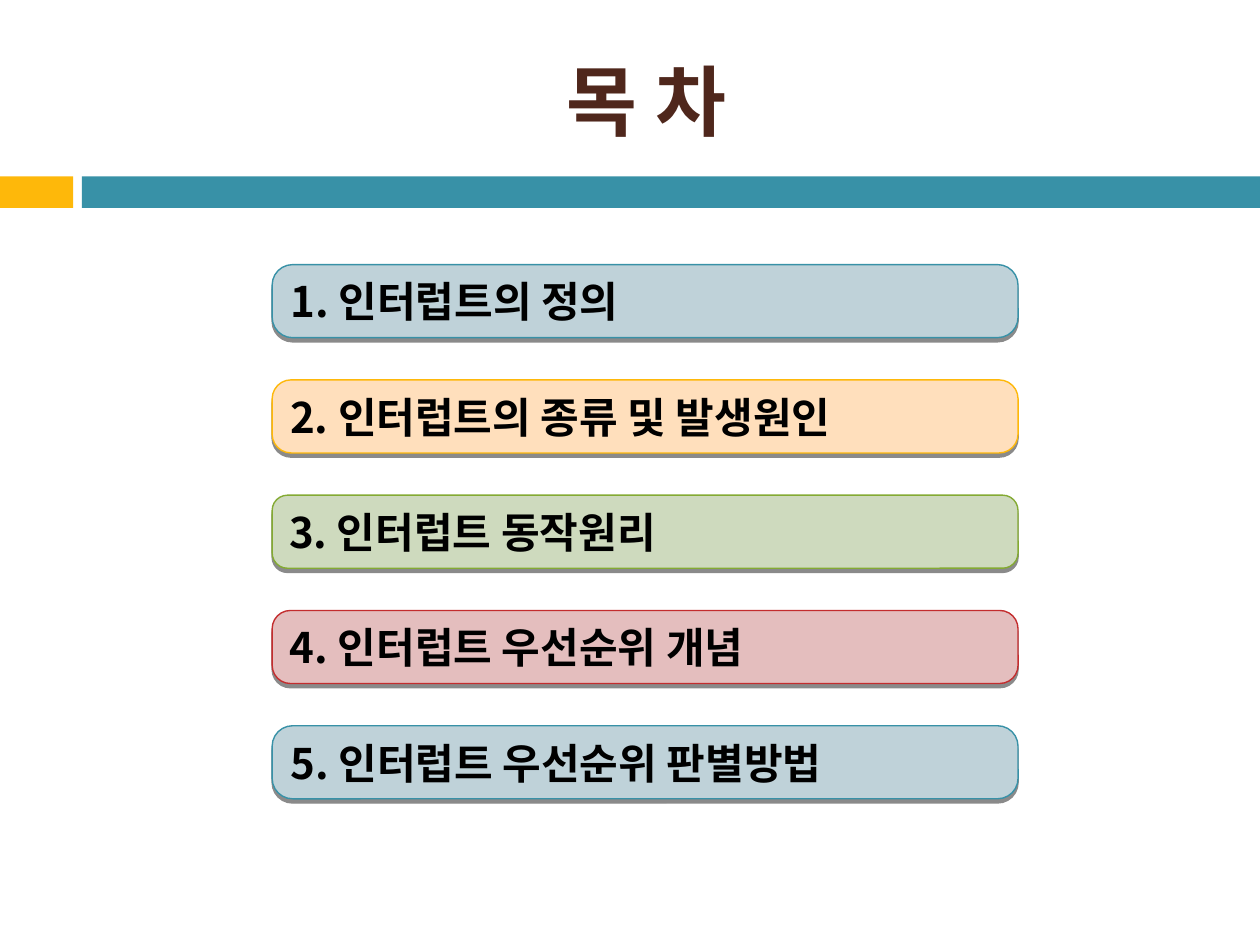
from lxml import etree
from pptx import Presentation
from pptx.dml.color import RGBColor
from pptx.enum.shapes import MSO_SHAPE
from pptx.enum.text import MSO_ANCHOR, PP_ALIGN
from pptx.oxml import parse_xml
from pptx.oxml.ns import nsdecls, qn
from pptx.util import Inches, Pt

RECTANGLE = MSO_SHAPE.RECTANGLE
ROUNDED = MSO_SHAPE.ROUNDED_RECTANGLE
MIDDLE = MSO_ANCHOR.MIDDLE
LEFT, CENTER = PP_ALIGN.LEFT, PP_ALIGN.CENTER

FONT = "Noto Sans CJK KR"
COLORS = {
    "title": "4F271C", "text": "000000", "shadow": "000000",
    "teal": "3891A7", "gold": "FEB80A", "green": "84AA33", "red": "C32D2E",
    "pale_teal": "BFD2D9", "pale_gold": "FFDFBC",
    "pale_green": "CEDABE", "pale_red": "E4BEBE",
}
TOPICS = [
    ("1. 인터럽트의 정의", "teal", 0.28),
    ("2. 인터럽트의 종류 및 발생원인", "gold", 0.26),
    ("3. 인터럽트 동작원리", "green", 0.21),
    ("4. 인터럽트 우선순위 개념", "red", 0.25),
    ("5. 인터럽트 우선순위 판별방법", "teal", 0.28),
]
FIRST_TOP, LAST_TOP = 2.1, 5.76
TOPIC_STEP = (LAST_TOP - FIRST_TOP) / (len(TOPICS) - 1)


class ContentsPage:
    """Styled elements of a table-of-contents slide."""

    def __init__(self, page):
        self.page = page

    def color(self, name):
        return RGBColor.from_string(COLORS[name])

    def set_text(self, shape, text, size, color, align):
        frame = shape.text_frame
        frame.text = text
        frame.word_wrap = True
        frame.vertical_anchor = MIDDLE
        para = frame.paragraphs[0]
        para.alignment = align
        span = para.runs[0]
        span.font.name = FONT
        span.font.size = Pt(size)
        span.font.bold = True
        span.font.color.rgb = self.color(color)
        east_asian = etree.SubElement(span.font._element, qn("a:ea"))
        east_asian.set("typeface", FONT)

    def title(self, text):
        box = self.page.shapes.title
        box.left, box.top = Inches(0.67), Inches(0.25)
        box.width, box.height = Inches(8.92), Inches(1.08)
        self.set_text(box, text, 44, "title", CENTER)

    def shape(self, kind, left, top, width, height, fill):
        shape = self.page.shapes.add_shape(
            kind, Inches(left), Inches(top), Inches(width), Inches(height))
        shape.shadow.inherit = False
        shape.fill.solid()
        shape.fill.fore_color.rgb = self.color(fill)
        shape.line.fill.background()
        return shape

    def band(self, left, width, fill):
        self.shape(RECTANGLE, left, 1.4, width, 0.25, fill)

    def topic(self, top, text, accent, rounding):
        box = self.shape(ROUNDED, 2.16, top, 5.92, 0.58, f"pale_{accent}")
        box.adjustments[0] = rounding
        box.line.color.rgb = self.color(accent)
        box.line.width = Pt(0.79)
        self.drop_shadow(box)
        self.set_text(box, text, 24, "text", LEFT)

    def drop_shadow(self, shape):
        effects = shape._element.spPr.find(qn("a:effectLst"))
        effects.append(parse_xml(
            f'<a:outerShdw {nsdecls("a")} blurRad="0" dist="{Pt(2.4)}" '
            f'dir="5400000" rotWithShape="0"><a:srgbClr val="{COLORS["shadow"]}">'
            '<a:alpha val="45000"/></a:srgbClr></a:outerShdw>'))


def main():
    deck = Presentation()
    deck.slide_width, deck.slide_height = Inches(10), Inches(7.5)
    contents = ContentsPage(deck.slides.add_slide(deck.slide_layouts[5]))
    contents.band(0, 0.58, "gold")
    contents.band(0.65, 9.35, "teal")
    contents.title("목 차")
    for index, (text, accent, rounding) in enumerate(TOPICS):
        contents.topic(FIRST_TOP + index * TOPIC_STEP, text, accent, rounding)
    deck.save("out.pptx")


if __name__ == "__main__":
    main()
